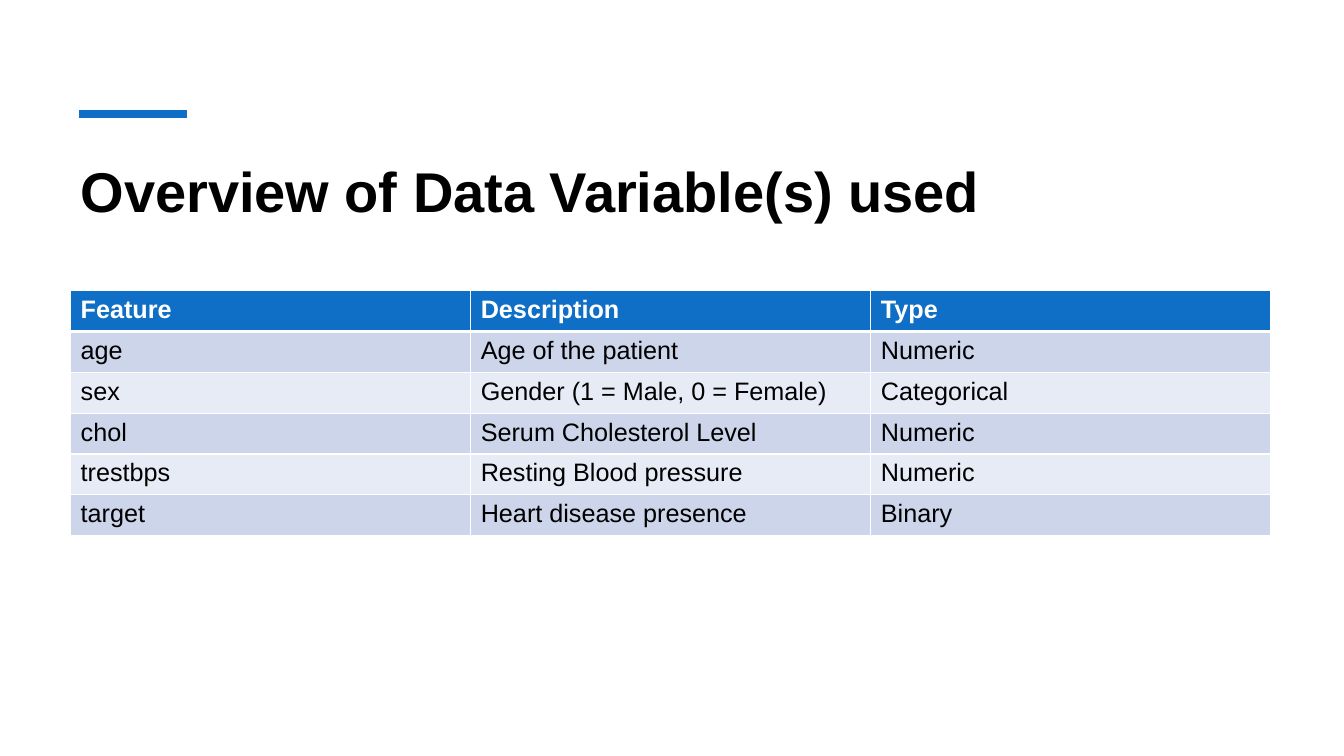
from lxml.etree import SubElement
from pptx import Presentation
from pptx.dml.color import RGBColor
from pptx.enum.shapes import MSO_CONNECTOR
from pptx.enum.text import MSO_ANCHOR
from pptx.oxml.ns import qn
from pptx.util import Cm, Pt

TITLE = "Overview of Data Variable(s) used"
ROWS = [
    ("Feature", "Description", "Type"),
    ("age", "Age of the patient", "Numeric"),
    ("sex", "Gender (1 = Male, 0 = Female)", "Categorical"),
    ("chol", "Serum Cholesterol Level", "Numeric"),
    ("trestbps", "Resting Blood pressure", "Numeric"),
    ("target", "Heart disease presence", "Binary"),
]

BLUE = RGBColor(0x0F, 0x6F, 0xC6)
BAND_DARK = RGBColor(0xCC, 0xD5, 0xEA)
BAND_LIGHT = RGBColor(0xE7, 0xEB, 0xF5)
WHITE = RGBColor(0xFF, 0xFF, 0xFF)
BLACK = RGBColor(0, 0, 0)

LEFT, WIDTH = Cm(1.78), Cm(30.25)
ROW_HEIGHT = Cm(1.03)


def write(tf, text, size=18, color=BLACK, bold=False):
    r = tf.paragraphs[0].add_run()
    r.text = text
    r.font.name = "Arial"
    r.font.size = Pt(size)
    r.font.bold = bold
    r.font.color.rgb = color


def add_borders(cell, bottom):
    tcPr = cell._tc.get_or_add_tcPr()
    for side, width in (("L", 1), ("R", 1), ("T", 1), ("B", bottom)):
        ln = SubElement(tcPr, qn(f"a:ln{side}"), w=str(Pt(width)))
        fill = SubElement(ln, qn("a:solidFill"))
        SubElement(fill, qn("a:srgbClr"), val=str(WHITE))


def add_accent(s):
    y = Cm(2.87)
    line = s.shapes.add_connector(MSO_CONNECTOR.STRAIGHT, Cm(1.98), y, Cm(4.7), y)
    line.line.color.rgb = BLUE
    line.line.width = Pt(6)
    SubElement(line._element.spPr, qn("a:effectLst"))


def add_title(s):
    tf = s.shapes.add_textbox(LEFT, Cm(3.81), WIDTH, Cm(3.05)).text_frame
    tf.word_wrap = True
    tf.vertical_anchor = MSO_ANCHOR.TOP
    write(tf, TITLE, size=40, bold=True)


def add_variables(s):
    count = len(ROWS)
    table = s.shapes.add_table(
        count, len(ROWS[0]), LEFT, Cm(7.32), WIDTH, ROW_HEIGHT * count
    ).table
    for i, row in enumerate(ROWS):
        header = i == 0
        band = BLUE if header else BAND_DARK if i % 2 else BAND_LIGHT
        for j, text in enumerate(row):
            cell = table.cell(i, j)
            add_borders(cell, 3 if header else 1)
            cell.fill.solid()
            cell.fill.fore_color.rgb = band
            write(cell.text_frame, text, color=WHITE if header else BLACK, bold=header)


def main():
    prs = Presentation()
    prs.slide_width, prs.slide_height = Cm(33.87), Cm(19.05)
    s = prs.slides.add_slide(prs.slide_layouts[6])
    add_accent(s)
    add_title(s)
    add_variables(s)
    prs.save("out.pptx")


if __name__ == "__main__":
    main()
